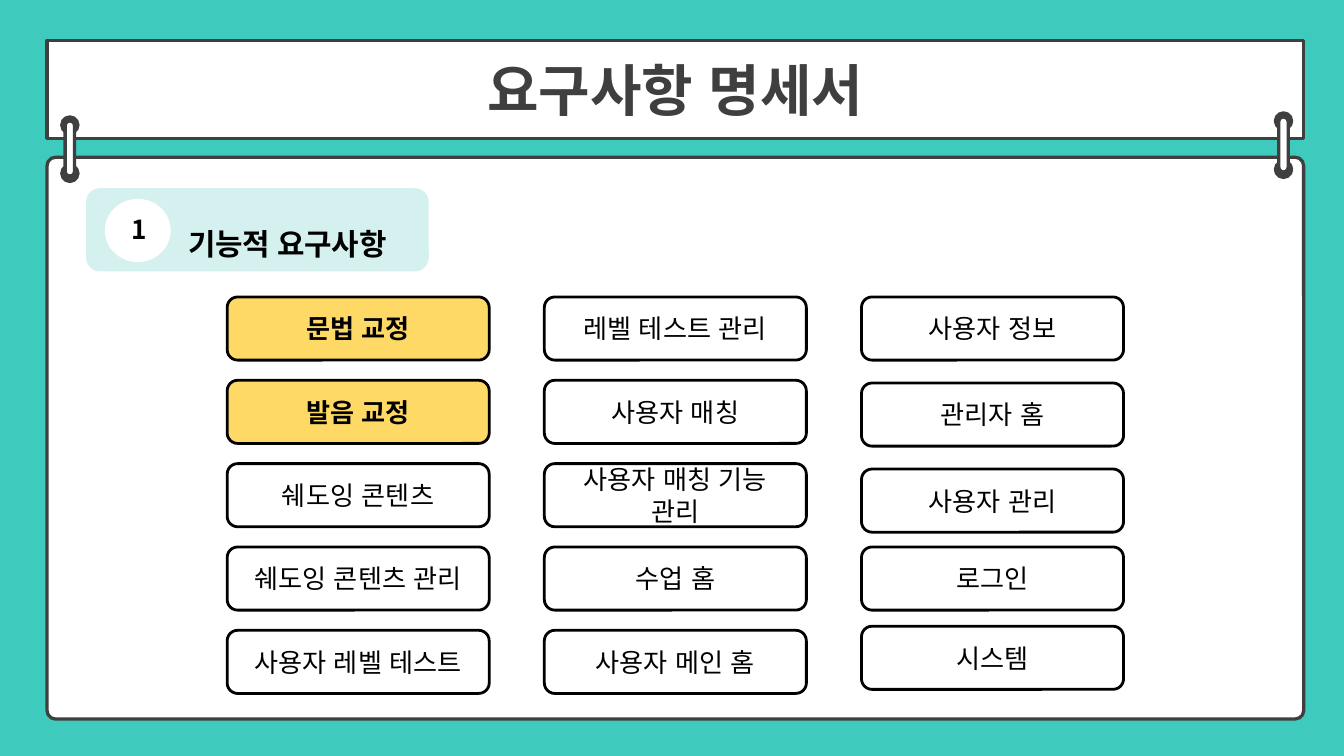
from lxml import etree
from pptx import Presentation
from pptx.dml.color import RGBColor
from pptx.enum.shapes import MSO_SHAPE
from pptx.enum.text import MSO_ANCHOR, MSO_AUTO_SIZE, PP_ALIGN
from pptx.oxml.ns import qn
from pptx.util import Pt

PX = 4572  # 200 px to the inch
ROUND, OVAL = MSO_SHAPE.ROUNDED_RECTANGLE, MSO_SHAPE.OVAL
LEFT, CENTER = PP_ALIGN.LEFT, PP_ALIGN.CENTER
TOP, MIDDLE = MSO_ANCHOR.TOP, MSO_ANCHOR.MIDDLE
TITLE_ONLY = 5
KOREAN = "Noto Sans CJK KR"
TEAL, PALE, YELLOW = "3ECABD", "D5F1EF", "FFD966"
WHITE, BLACK, GRAY = "FFFFFF", "000000", "3F3F3F"

CARD_COLUMNS = [
    (["문법 교정", "발음 교정", "쉐도잉 콘텐츠", "쉐도잉 콘텐츠 관리", "사용자 레벨 테스트"],
     [0, 124, 248, 372, 496]),
    (["레벨 테스트 관리", "사용자 매칭", "사용자 매칭 기능 관리", "수업 홈", "사용자 메인 홈"],
     [0, 124, 248, 372, 496]),
    (["사용자 정보", "관리자 홈", "사용자 관리", "로그인", "시스템"],
     [0, 128, 256, 372, 490]),
]
HIGHLIGHTED = {"문법 교정", "발음 교정"}


def color(hex_string):
    return RGBColor.from_string(hex_string)


def scaled(*lengths):
    return [length * PX for length in lengths]


def paint(shape, fill=None, line=None, weight=1.75):
    if fill:
        shape.fill.solid()
        shape.fill.fore_color.rgb = color(fill)
    else:
        shape.fill.background()
    if line:
        shape.line.color.rgb = color(line)
        shape.line.width = Pt(weight)
    else:
        shape.line.fill.background()


def add_box(page, box, kind=ROUND, radius=None, **look):
    shape = page.shapes.add_shape(kind, *scaled(*box))
    shape.shadow.inherit = False
    if radius is not None:
        shape.adjustments[0] = radius
    paint(shape, **look)
    return shape


def write(shape, text, size=14, font="Arial", ink=BLACK, bold=False,
          align=CENTER, anchor=MIDDLE, insets=(20, 20), spacing=1):
    frame = shape.text_frame
    frame.word_wrap = True
    frame.auto_size = MSO_AUTO_SIZE.NONE
    frame.vertical_anchor = anchor
    frame.margin_left = frame.margin_right = insets[0] * PX
    frame.margin_top = frame.margin_bottom = insets[1] * PX
    para = frame.paragraphs[0]
    para.alignment, para.line_spacing = align, spacing
    span = para.add_run()
    span.text = text
    span.font.size, span.font.bold, span.font.name = Pt(size), bold, font
    span.font.color.rgb = color(ink)
    east_asian = etree.SubElement(span.font._element, qn("a:ea"))
    east_asian.set("typeface", font)


def add_label(page, box, text, **style):
    label = page.shapes.add_textbox(*scaled(*box))
    write(label, text, font=KOREAN, bold=True, align=LEFT, anchor=TOP, **style)


def title_panel(page, box, text):
    title = page.shapes.title
    title.left, title.top, title.width, title.height = scaled(*box)
    outline = etree.SubElement(title._element.spPr, qn("a:prstGeom"), prst="roundRect")
    guides = etree.SubElement(outline, qn("a:avLst"))
    etree.SubElement(guides, qn("a:gd"), name="adj", fmla="val 8900")
    paint(title, fill=WHITE, line=GRAY)
    write(title, text, size=30, ink=GRAY, bold=True, insets=(14, 8))


def binder_ring(page, left, top):
    for drop in (0, 72):
        add_box(page, (left, top + drop, 24, 24), radius=0.5, fill=GRAY, line=GRAY)
    add_box(page, (left + 5, top + 6, 14, 82), radius=0.5, fill=WHITE, line=GRAY)


def section_tag(page, box, number, text):
    left, top = box[:2]
    add_box(page, box, radius=0.167, fill=PALE)
    add_box(page, (left + 28, top + 16, 98, 94), kind=OVAL, fill=WHITE)
    add_label(page, (left + 48, top + 18, 60, 90), number)
    add_label(page, (left + 138, top + 22, 382, 74), text,
              size=16, insets=(14, 8), spacing=1.5)


def card_grid(page, left, top):
    for column, (names, drops) in enumerate(CARD_COLUMNS):
        for name, drop in zip(names, drops):
            marked = name in HIGHLIGHTED
            card = add_box(page, (left + 472 * column, top + drop, 390, 94),
                           radius=0.167, fill=YELLOW if marked else None,
                           line=BLACK, weight=1.5)
            write(card, name, bold=marked)


def main():
    deck = Presentation()
    deck.slide_width, deck.slide_height = scaled(2000, 1125)
    page = deck.slides.add_slide(deck.slide_layouts[TITLE_ONLY])
    page.background.fill.solid()
    page.background.fill.fore_color.rgb = color(TEAL)
    title_panel(page, (70, 60, 1870, 146), "요구사항 명세서")
    add_box(page, (70, 234, 1870, 836), radius=0.015, fill=WHITE, line=GRAY)
    binder_ring(page, 92, 174)
    binder_ring(page, 1898, 168)
    section_tag(page, (128, 280, 510, 124), "1", "기능적 요구사항")
    card_grid(page, 338, 442)
    deck.save("out.pptx")


if __name__ == "__main__":
    main()
